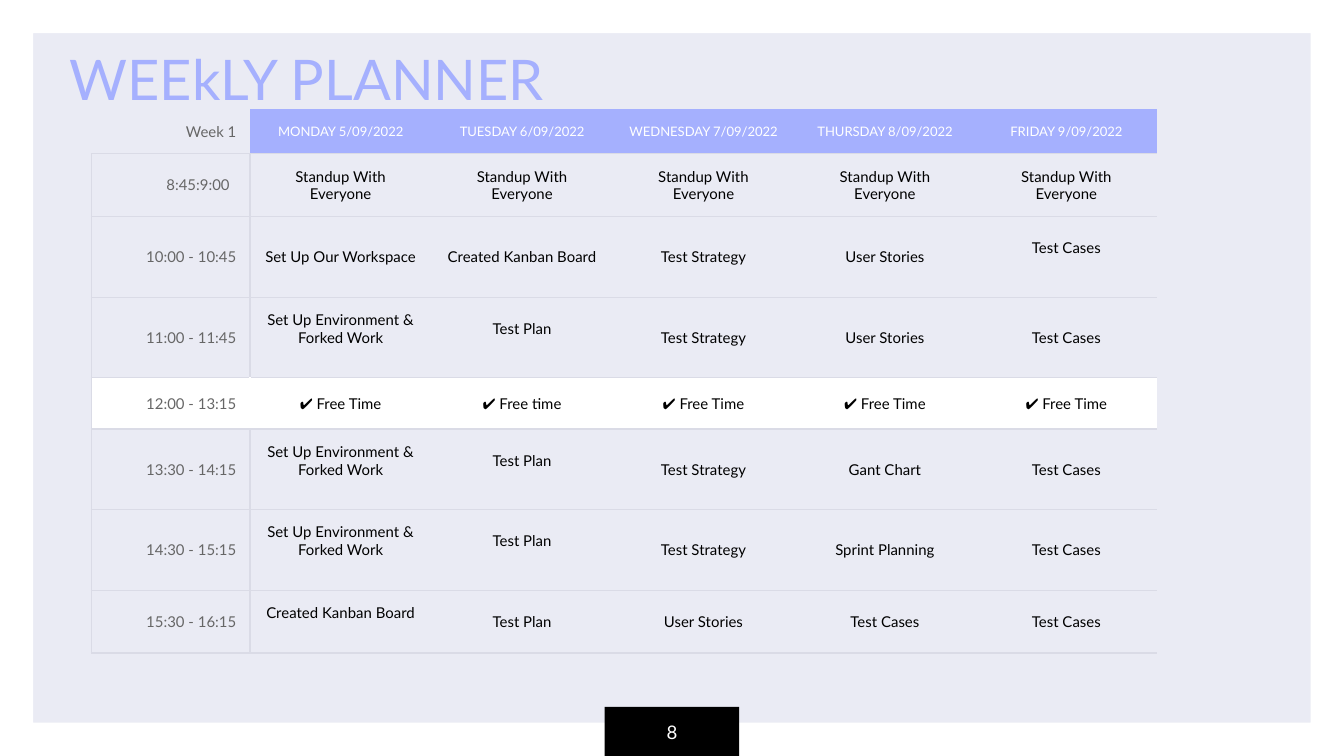
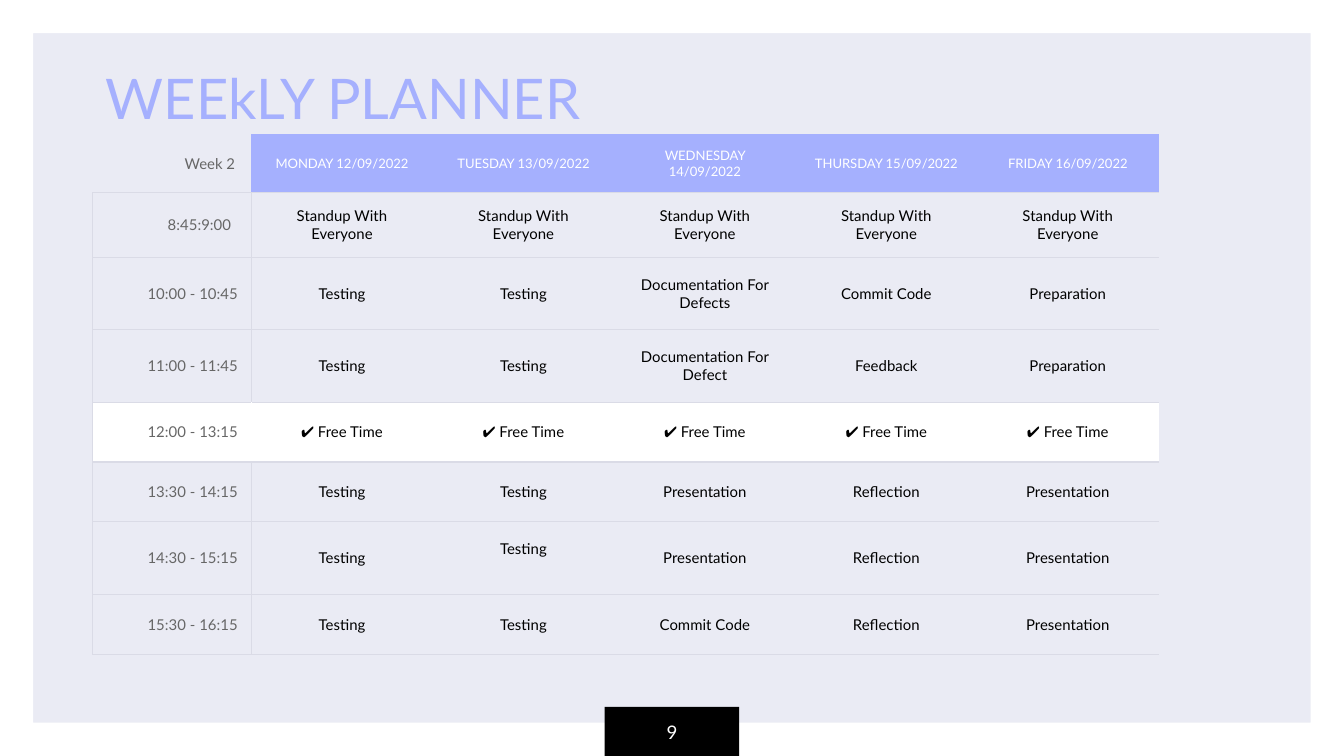
from lxml import etree
from pptx import Presentation
from pptx.dml.color import RGBColor
from pptx.enum.shapes import MSO_SHAPE
from pptx.enum.text import MSO_ANCHOR, PP_ALIGN
from pptx.oxml.ns import qn
from pptx.util import Inches, Pt

FRAME, RECTANGLE = MSO_SHAPE.FRAME, MSO_SHAPE.RECTANGLE
MIDDLE, BOTTOM = MSO_ANCHOR.MIDDLE, MSO_ANCHOR.BOTTOM
LEFT, CENTER, RIGHT = PP_ALIGN.LEFT, PP_ALIGN.CENTER, PP_ALIGN.RIGHT

CELLS_PER_INCH = 10
WIDE, HIGH = 100, 56.25
FONT = "Lato"
LAVENDER, PALE, RULE = "A5B0FE", "EAEBF4", "DADBE6"
WHITE, BLACK, GREY = "FFFFFF", "000000", "666666"
NO_STYLE = "{2D5ABB26-0587-4C30-8999-92F81FD0307C}"

INSET = 1
BLANK_LINE = 1.34
DAY_COLUMNS = [11.8] + [13.5] * 5
FREE_ROW = 4
TIMES = [
    "8:45:9:00",
    "10:00 - 10:45",
    "11:00 - 11:45",
    "12:00 - 13:15",
    "13:30 - 14:15",
    "14:30 - 15:15",
    "15:30 - 16:15",
]
STANDUP = ["Standup With Everyone"] * 5
FREE = ["✔ Free Time"] * 5
SETUP = "Set Up Environment & Forked Work"

WEEKS = [
    {
        "page": "8",
        "title_at": (4.2, -0.1),
        "table_at": (6.8, 8.1),
        "row_heights": [3.35, 4.65, 6, 6, 3.8, 6, 6, 4.65],
        "week": "Week 1",
        "week_inset": INSET,
        "days": [
            "MONDAY 5/09/2022",
            "TUESDAY 6/09/2022",
            "WEDNESDAY 7/09/2022",
            "THURSDAY 8/09/2022",
            "FRIDAY 9/09/2022",
        ],
        "tasks": [
            STANDUP,
            ["Set Up Our Workspace", "Created Kanban Board", "Test Strategy", "User Stories", "Test Cases"],
            [SETUP, "Test Plan", "Test Strategy", "User Stories", "Test Cases"],
            ["✔ Free Time", "✔ Free time"] + FREE[2:],
            [SETUP, "Test Plan", "Test Strategy", "Gant Chart", "Test Cases"],
            [SETUP, "Test Plan", "Test Strategy", "Sprint Planning", "Test Cases"],
            ["Created Kanban Board", "Test Plan", "User Stories", "Test Cases", "Test Cases"],
        ],
        "raised": {(2, 5), (3, 1), (3, 2), (5, 1), (5, 2), (6, 1), (6, 2), (7, 1)},
    },
    {
        "page": "9",
        "title_at": (6.9, 1.3),
        "table_at": (6.9, 10),
        "row_heights": [4.3, 4.8, 5.4, 5.4, 4.45, 4.45, 5.4, 4.5],
        "week": "Week 2",
        "week_inset": 1.2,
        "days": [
            "MONDAY 12/09/2022",
            "TUESDAY 13/09/2022",
            "WEDNESDAY 14/09/2022",
            "THURSDAY 15/09/2022",
            "FRIDAY 16/09/2022",
        ],
        "tasks": [
            STANDUP,
            ["Testing", "Testing", "Documentation For Defects", "Commit Code", "Preparation"],
            ["Testing", "Testing", "Documentation For Defect", "Feedback", "Preparation"],
            FREE,
            ["Testing", "Testing", "Presentation", "Reflection", "Presentation"],
            ["Testing", "Testing", "Presentation", "Reflection", "Presentation"],
            ["Testing", "Testing", "Commit Code", "Reflection", "Presentation"],
        ],
        "raised": {(6, 2)},
    },
]


def grid(count):
    return Inches(count / CELLS_PER_INCH)


def colour(value):
    return RGBColor.from_string(value)


def paint(fill, value):
    if value:
        fill.solid()
        fill.fore_color.rgb = colour(value)
    else:
        fill.background()


def write(frame, text, size, ink, align):
    frame.word_wrap = True
    paragraph = frame.paragraphs[0]
    paragraph.text = text
    paragraph.alignment = align
    font = paragraph.runs[0].font
    font.name, font.size, font.color.rgb = FONT, Pt(size), colour(ink)


def set_insets(holder, right=INSET, bottom=INSET):
    holder.margin_left = holder.margin_top = grid(INSET)
    holder.margin_right, holder.margin_bottom = grid(right), grid(bottom)


def add_block(page, kind, left, top, width, height, fill):
    block = page.shapes.add_shape(kind, *map(grid, (left, top, width, height)))
    block.shadow.inherit = False
    block.line.fill.background()
    paint(block.fill, fill)
    return block


def add_page_base(deck, number):
    page = deck.slides.add_slide(deck.slide_layouts[6])
    paint(page.background.fill, PALE)
    border = add_block(page, FRAME, 0, 0, WIDE, HIGH, WHITE)
    border.adjustments[0] = 0.044
    tab = add_block(page, RECTANGLE, 45, HIGH - 3.65, 10, 3.7, BLACK)
    set_insets(tab.text_frame)
    tab.text_frame.vertical_anchor = MIDDLE
    write(tab.text_frame, number, 10, WHITE, CENTER)
    return page


def add_title(page, left, top):
    box = page.shapes.add_textbox(*map(grid, (left, top, 56.2, 9.4)))
    set_insets(box.text_frame)
    box.text_frame.vertical_anchor = BOTTOM
    write(box.text_frame, "WEEkLY PLANNER", 30, LAVENDER, LEFT)


def draw_borders(cell, borders):
    properties = cell._tc.get_or_add_tcPr()
    for side in "LRTB":
        line = etree.SubElement(properties, qn(f"a:ln{side}"))
        if side in borders:
            line.set("w", str(Pt(0.75)))
            fill = etree.SubElement(line, qn("a:solidFill"))
            etree.SubElement(fill, qn("a:srgbClr")).set("val", borders[side])
        else:
            line.set("w", "0")
            etree.SubElement(line, qn("a:noFill"))


def cell_borders(row, column):
    borders = {"B": RULE}
    if row:
        borders["T"] = RULE
        divider = WHITE if row == FREE_ROW else RULE
        if column == 0:
            borders.update(L=RULE, R=divider)
        elif column == 1:
            borders["L"] = divider
    return borders


def cell_fill(row, column):
    if row == FREE_ROW:
        return WHITE
    return LAVENDER if row == 0 and column else None


def right_inset(week, row, column):
    if column == 0 and row < 2:
        return 1.5 if row else week["week_inset"]
    return INSET


def fill_cell(cell, text, row, column, week):
    draw_borders(cell, cell_borders(row, column))
    paint(cell.fill, cell_fill(row, column))
    raised = (row, column) in week["raised"]
    set_insets(cell, right_inset(week, row, column), INSET + BLANK_LINE * raised)
    cell.vertical_anchor = MIDDLE
    if column == 0:
        write(cell.text_frame, text, 8, GREY, RIGHT)
    elif row == 0:
        write(cell.text_frame, text, 7, WHITE, CENTER)
    else:
        write(cell.text_frame, text, 8, BLACK, CENTER)


def add_planner(page, week):
    heights = week["row_heights"]
    left, top = week["table_at"]
    place = map(grid, (left, top, sum(DAY_COLUMNS), sum(heights)))
    table = page.shapes.add_table(len(heights), len(DAY_COLUMNS), *place).table
    table.first_row = table.horz_banding = False
    table._tbl.tblPr.find(qn("a:tableStyleId")).text = NO_STYLE
    for column, width in zip(table.columns, DAY_COLUMNS):
        column.width = grid(width)
    for row, height in zip(table.rows, heights):
        row.height = grid(height)
    content = [[week["week"], *week["days"]]]
    content += [[time, *tasks] for time, tasks in zip(TIMES, week["tasks"])]
    for row, texts in enumerate(content):
        for column, text in enumerate(texts):
            fill_cell(table.cell(row, column), text, row, column, week)


def main():
    deck = Presentation()
    deck.slide_width, deck.slide_height = grid(WIDE), grid(HIGH)
    for week in WEEKS:
        page = add_page_base(deck, week["page"])
        add_title(page, *week["title_at"])
        add_planner(page, week)
    deck.save("out.pptx")


if __name__ == "__main__":
    main()
